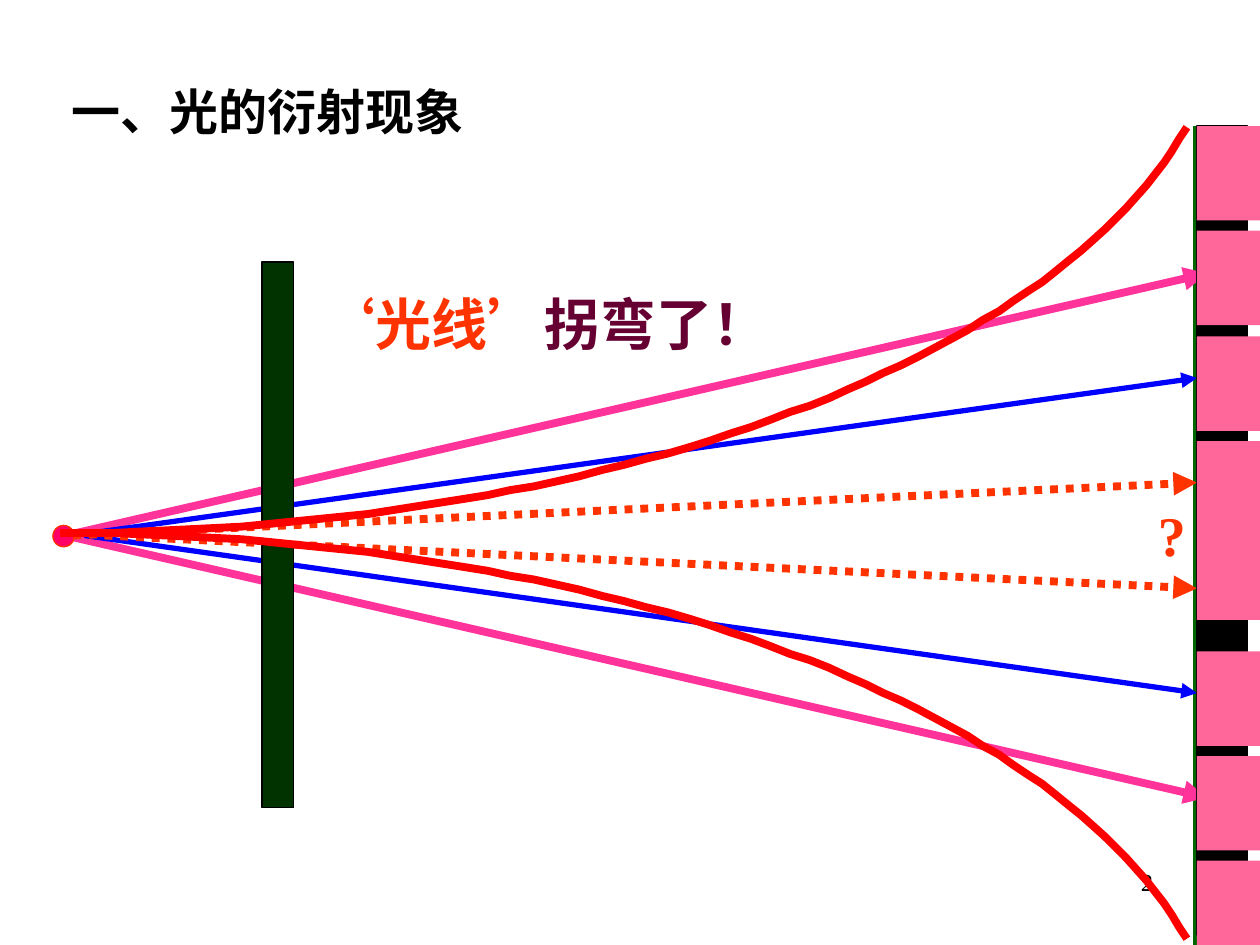
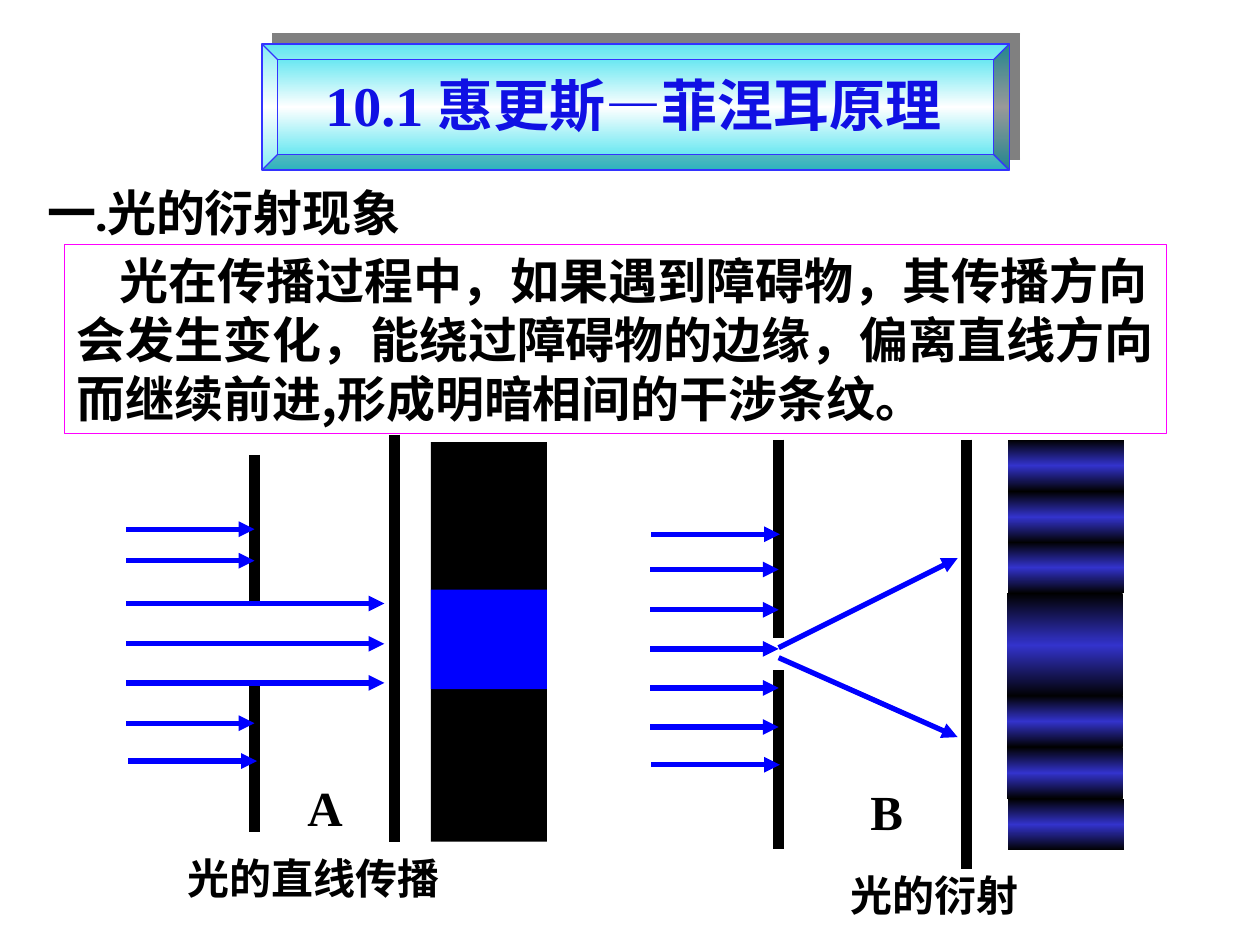
from pptx import Presentation
from pptx.dml.color import RGBColor
from pptx.enum.dml import MSO_LINE
from pptx.enum.shapes import MSO_CONNECTOR, MSO_SHAPE
from pptx.enum.text import MSO_ANCHOR, PP_ALIGN
from pptx.oxml import parse_xml
from pptx.oxml.ns import nsdecls, qn
from pptx.util import Pt

PX = 9144
STRAIGHT = MSO_CONNECTOR.STRAIGHT
DOTTED = MSO_LINE.ROUND_DOT
RECTANGLE = MSO_SHAPE.RECTANGLE
OVAL = MSO_SHAPE.OVAL
BEVEL = MSO_SHAPE.BEVEL
LEFT, CENTER, RIGHT = PP_ALIGN.LEFT, PP_ALIGN.CENTER, PP_ALIGN.RIGHT
TOP, MIDDLE = MSO_ANCHOR.TOP, MSO_ANCHOR.MIDDLE

LATIN = "Times New Roman"
CHINESE = "Noto Sans CJK SC"
BLACK = "000000"
WHITE = "FFFFFF"
BLUE = "0000FF"
RED = "FF0000"
ORANGE = "FF3300"
PINK = "FF3399"
FRINGE_PINK = "FF6699"
DARK_GREEN = "003300"


def px(*lengths):
    return [round(length * PX) for length in lengths]


def rgb(color):
    return RGBColor.from_string(color)


def style_line(line, color, width):
    if color is None:
        line.fill.background()
    else:
        line.color.rgb = rgb(color)
        line.width = Pt(width)


def add_block(page, place, fill, outline=None, kind=RECTANGLE):
    block = page.shapes.add_shape(kind, *px(*place))
    block.shadow.inherit = False
    block.fill.solid()
    block.fill.fore_color.rgb = rgb(fill)
    style_line(block.line, outline, 0.75)
    return block


def set_gradient(block, edge, middle):
    stops = "".join(
        f'<a:gs pos="{position}"><a:srgbClr val="{color}"/></a:gs>'
        for position, color in ((0, edge), (50000, middle), (100000, edge)))
    gradient = parse_xml(
        f'<a:gradFill {nsdecls("a")} rotWithShape="1"><a:gsLst>{stops}</a:gsLst>'
        '<a:lin ang="5400000" scaled="0"/></a:gradFill>')
    properties = block._element.spPr
    properties.replace(properties.find(qn("a:solidFill")), gradient)


def set_shadow(block, color):
    shadow = parse_xml(
        f'<a:outerShdw {nsdecls("a")} dist="{Pt(8.5)}" dir="18900000" '
        f'algn="ctr" rotWithShape="0"><a:srgbClr val="{color}"/></a:outerShdw>')
    block._element.spPr.find(qn("a:effectLst")).append(shadow)


def add_line(page, start, end, color, width, dash=None, arrow=False):
    line = page.shapes.add_connector(STRAIGHT, *px(*start, *end))
    style_line(line.line, color, width)
    if dash is not None:
        line.line.dash_style = dash
    properties = line._element.spPr
    if arrow:
        properties.find(qn("a:ln")).append(
            parse_xml(f'<a:tailEnd {nsdecls("a")} type="triangle"/>'))
    properties.append(parse_xml(f'<a:effectLst {nsdecls("a")}/>'))


def add_arrow(page, start, end, color=BLUE, width=3, dash=None):
    add_line(page, start, end, color, width, dash, arrow=True)


def add_curve(page, controls, color, width, steps=60):
    points = []
    for step in range(steps + 1):
        t = step / steps
        weights = ((1 - t) ** 3, 3 * t * (1 - t) ** 2, 3 * t * t * (1 - t), t ** 3)
        points.append(tuple(
            sum(weight * control[axis] for weight, control in zip(weights, controls))
            for axis in (0, 1)))
    builder = page.shapes.build_freeform(*points[0], scale=PX)
    builder.add_line_segments(points[1:], close=False)
    curve = builder.convert_to_shape()
    curve.shadow.inherit = False
    curve.fill.background()
    style_line(curve.line, color, width)


def write(box, pieces, size, bold=True, align=LEFT, anchor=TOP, wrap=True, latin=LATIN):
    frame = box.text_frame
    frame.word_wrap = wrap
    frame.vertical_anchor = anchor
    para = frame.paragraphs[0]
    para.alignment = align
    for words, color in pieces:
        span = para.add_run()
        span.text = words
        span.font.size = Pt(size)
        span.font.bold = bold
        span.font.name = latin
        span.font.color.rgb = rgb(color)
        properties = span._r.get_or_add_rPr()
        properties.set("lang", "zh-CN")
        properties.find(qn("a:latin")).addnext(
            parse_xml(f'<a:ea {nsdecls("a")} typeface="{CHINESE}"/>'))
    return para


def add_text(page, place, words, size, color=BLACK, **options):
    box = page.shapes.add_textbox(*px(*place))
    pieces = [(words, color)] if isinstance(words, str) else words
    write(box, pieces, size, **options)


def add_pink_fringes(page):
    add_block(page, (950, 100, 40, 642), BLACK, BLACK)
    pitch = 250 / 3
    heights = {0: 75, 1: 75, 2: 75, 3: 142, 5: 75, 6: 75, 7: 83}
    for slot, height in heights.items():
        add_block(page, (950, round(100 + slot * pitch), 50, height), FRINGE_PINK)


def add_blue_fringes(page):
    pitch = 122 / 3
    for slot, left in ((3, 799), (5, 799), (6, 799), (0, 800), (7, 800), (2, 800), (1, 800)):
        height = 82 if slot == 3 else 41
        fringe = add_block(page, (left, round(349 + slot * pitch), 92, height), BLACK)
        set_gradient(fringe, BLACK, "3333CC")


def build_bending_page(page):
    add_text(page, (717, 683, 208, 50), "2", 14, bold=False, align=RIGHT)
    add_text(page, (47, 60, 375, 57), "一、光的衍射现象", 28, latin=CHINESE)
    add_line(page, (950, 100), (950, 750), "006600", 4.5)
    add_text(page, (909, 392, 42, 64), "?", 32, ORANGE, wrap=False)

    axis = 425
    for starts, end, rise, color, width in (
            ((52, 52), 958, 208, PINK, 4.5), ((58, 67), 950, 125, BLUE, 3)):
        for start, side in zip(starts, (-1, 1)):
            add_arrow(page, (start, axis), (end, axis + side * rise), color, width)
    add_block(page, (42, 417, 17, 17), "FF0066", ORANGE, OVAL)
    for start, side in ((58, -1), (83, 1)):
        add_arrow(page, (start, axis), (950, axis + side * 42), ORANGE, 4.5, DOTTED)

    for top in (208, 433):
        add_block(page, (208, top, 25, 208), DARK_GREEN, BLACK)
    for side in (1, -1):
        controls = [(x, 423 + side * rise)
                    for x, rise in ((48, 0), (467, 0), (834, 132), (942, 322))]
        add_curve(page, controls, RED, 4.5)
    add_pink_fringes(page)
    add_text(page, (244, 225, 423, 64), [("‘光线’", ORANGE), ("拐弯了！", "660033")], 32)


def add_straight_diagram(page):
    add_block(page, (342, 351, 92, 317), BLACK)
    add_block(page, (342, 468, 92, 79), BLUE)
    for x, top, bottom in ((202, 361, 479), (202, 542, 660), (313, 345, 668)):
        add_line(page, (x, top), (x, bottom), BLACK, 6)
    for y in (420, 445, 574):
        add_arrow(page, (100, y), (202, y))
    for y in (479, 511, 542):
        add_arrow(page, (100, y), (305, y))
    add_arrow(page, (102, 604), (204, 604))
    add_text(page, (234, 621, 39, 39), "A", 28, align=CENTER, anchor=MIDDLE, wrap=False)


def add_diffraction_diagram(page):
    for x, top, bottom in ((618, 349, 506), (618, 532, 674), (767, 349, 690)):
        add_line(page, (x, top), (x, bottom), BLACK, 6)
    for start, heights in ((516, (452, 484, 515, 546, 577)), (517, (424, 607))):
        for y in heights:
            add_arrow(page, (start, y), (start + 102, y))
    add_arrow(page, (618, 514), (760, 443))
    add_arrow(page, (618, 522), (760, 585))
    add_text(page, (681, 624, 39, 39), "B", 28, align=CENTER, anchor=MIDDLE, wrap=False)
    add_blue_fringes(page)


def build_principle_page(page):
    banner = add_block(page, (208, 35, 593, 100), WHITE, "3333FF", BEVEL)
    banner.adjustments[0] = 0.125
    set_gradient(banner, "39E0ED", WHITE)
    set_shadow(banner, "808080")
    add_text(page, (224, 49, 558, 67), "10.1 惠更斯—菲涅耳原理", 32, "1010E4",
             align=CENTER, anchor=MIDDLE)
    add_text(page, (28, 140, 442, 57), "一.光的衍射现象", 28, latin="Karla")

    definition = add_block(page, (51, 194, 875, 150), WHITE, "FF00FF")
    para = write(definition, [(
        "光在传播过程中，如果遇到障碍物，其传播方向会发生变化，能绕过障碍物的边缘，"
        "偏离直线方向而继续前进,形成明暗相间的干涉条纹。", BLACK)], 28, latin=CHINESE)
    para._p.get_or_add_pPr().set("indent", str(34 * PX))

    add_straight_diagram(page)
    add_diffraction_diagram(page)
    add_text(page, (139, 672, 316, 50), "光的直线传播", 24)
    add_text(page, (584, 685, 316, 50), "光的衍射", 24, align=CENTER)


def main():
    deck = Presentation()
    deck.slide_width, deck.slide_height = px(1000, 750)
    blank = deck.slide_layouts[6]
    for build in (build_bending_page, build_principle_page):
        build(deck.slides.add_slide(blank))
    deck.save("out.pptx")


if __name__ == "__main__":
    main()
